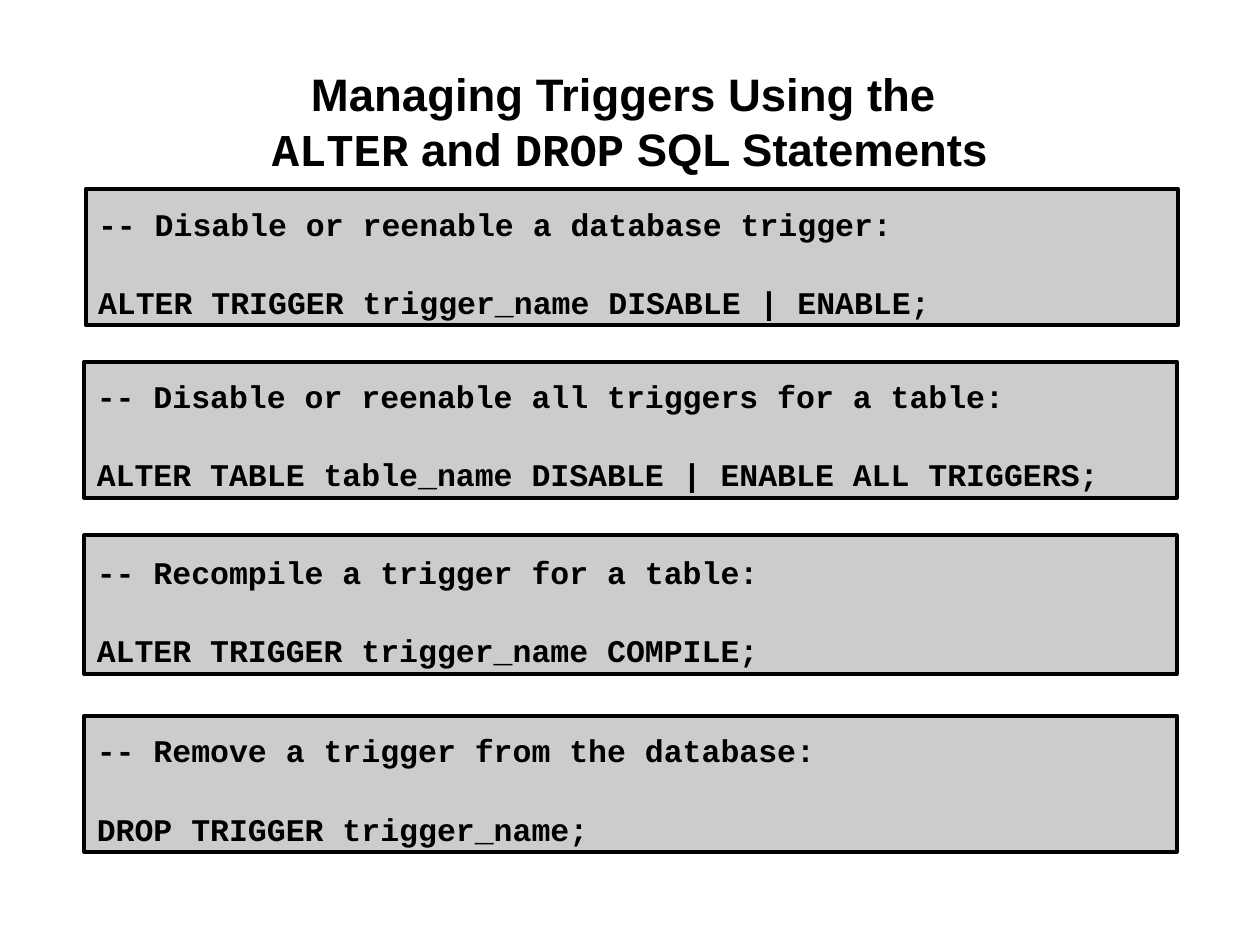
from pptx import Presentation
from pptx import util as u
from pptx.dml.color import RGBColor
from pptx.enum import shapes, text

COLORS = {"ink": "000000", "panel": "CCCCCC"}
SANS, MONO = "Arial", "Courier New"

# Left, top, height, comment, statement
PANELS = [
    (0.68, 1.5, 1.08, "-- Disable or reenable a database trigger:",
     "ALTER TRIGGER trigger_name DISABLE | ENABLE;"),
    (0.67, 2.87, 1.08, "-- Disable or reenable all triggers for a table:",
     "ALTER TABLE table_name DISABLE | ENABLE ALL TRIGGERS;"),
    (0.67, 4.25, 1.1, "-- Recompile a trigger for a table:",
     "ALTER TRIGGER trigger_name COMPILE;"),
    (0.67, 5.68, 1.08, "-- Remove a trigger from the database:",
     "DROP TRIGGER trigger_name;"),
]


def color(name):
    return RGBColor.from_string(COLORS[name])


def set_frame(frame, left, top):
    values = {
        "margin_left": u.Inches(left), "margin_right": u.Inches(left),
        "margin_top": u.Inches(top), "margin_bottom": u.Inches(0.01),
        "vertical_anchor": text.MSO_ANCHOR.MIDDLE,
        "auto_size": text.MSO_AUTO_SIZE.NONE, "word_wrap": True,
    }
    for name, value in values.items():
        setattr(frame, name, value)


def add_span(para, words, font_name, size):
    span = para.add_run()
    span.text = words
    for name, value in {"name": font_name, "size": u.Pt(size), "bold": True}.items():
        setattr(span.font, name, value)
    span.font.color.rgb = color("ink")


def add_title(page):
    title = page.shapes.title
    title.left, title.top = u.Inches(0.67), u.Inches(0.48)
    title.width, title.height = u.Inches(8.66), u.Inches(0.96)
    set_frame(title.text_frame, 0.01, 0.01)
    para = title.text_frame.paragraphs[0]
    para.alignment = text.PP_ALIGN.CENTER
    add_span(para, "Managing Triggers Using the ", SANS, 26)
    para.add_line_break()
    for words, font_name in [("ALTER", MONO), (" and ", SANS),
                             ("DROP", MONO), (" SQL Statements", SANS)]:
        add_span(para, words, font_name, 26)


def add_code_panel(page, left, top, height, *lines):
    box = page.shapes.add_shape(
        shapes.MSO_SHAPE.RECTANGLE, u.Inches(left), u.Inches(top),
        u.Inches(8.67), u.Inches(height))
    box.shadow.inherit = False
    box.fill.solid()
    box.fill.fore_color.rgb = color("panel")
    box.line.color.rgb = color("ink")
    box.line.width = u.Pt(2.25)

    # The larger top inset seats the code slightly below the middle
    frame = box.text_frame
    set_frame(frame, 0.1, 0.1)
    for index, line in enumerate(lines):
        para = frame.add_paragraph() if index else frame.paragraphs[0]
        para.alignment = text.PP_ALIGN.LEFT
        para.space_before = u.Pt(23 if index else 0)
        add_span(para, line, MONO, 18)


def main():
    deck = Presentation()
    deck.slide_width, deck.slide_height = u.Inches(10), u.Inches(7.5)
    page = deck.slides.add_slide(deck.slide_layouts[5])
    add_title(page)
    for panel in PANELS:
        add_code_panel(page, *panel)
    deck.save("out.pptx")


if __name__ == "__main__":
    main()
